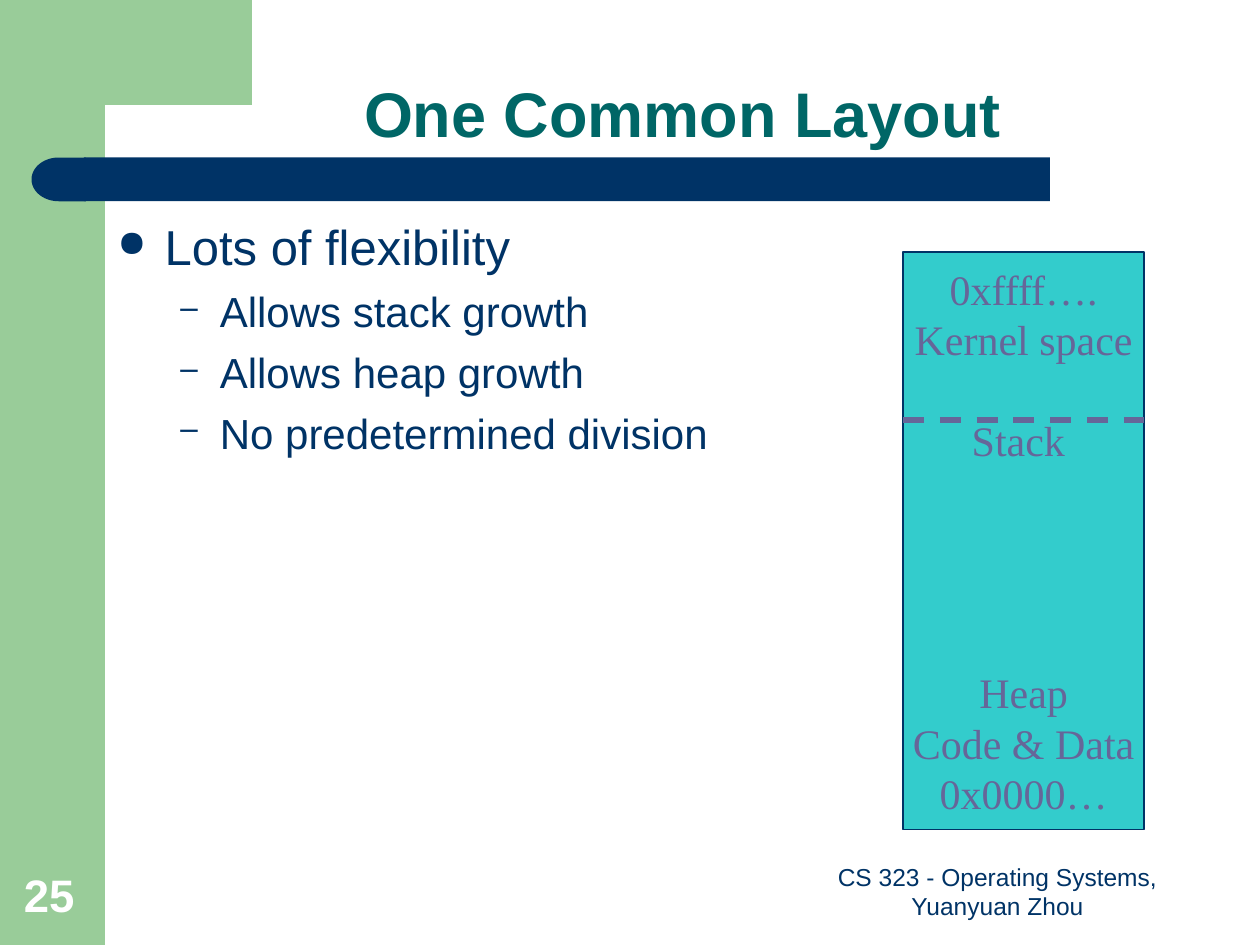
import pptx
import pptx.util
import pptx.dml.color
import pptx.enum.dml
import pptx.enum.shapes
import pptx.enum.text
import pptx.oxml.ns
from lxml import etree

Pt = pptx.util.Pt
RGB = pptx.dml.color.RGBColor
Shape = pptx.enum.shapes.MSO_SHAPE
Align = pptx.enum.text.PP_ALIGN
Anchor = pptx.enum.text.MSO_ANCHOR
qn = pptx.oxml.ns.qn

GREEN = RGB(0x99, 0xCC, 0x99)
NAVY = RGB(0x00, 0x33, 0x66)
TEAL = RGB(0x00, 0x66, 0x66)
AQUA = RGB(0x33, 0xCC, 0xCC)
VIOLET = RGB(0x66, 0x66, 0x99)
WHITE = RGB(0xFF, 0xFF, 0xFF)

LEADING = 1.2


def paint(shape, fill):
    shape.shadow.inherit = False
    shape.fill.solid()
    shape.fill.fore_color.rgb = fill
    shape.line.fill.background()


def add_block(slide, kind, x, y, w, h, fill):
    block = slide.shapes.add_shape(kind, Pt(x), Pt(y), Pt(w), Pt(h))
    paint(block, fill)
    return block


def add_corner(slide):
    pen = slide.shapes.build_freeform(Pt(36), Pt(0))
    points = [(144, 0), (144, 60), (60, 60), (51, 66), (48, 92), (36, 92)]
    pen.add_line_segments([(Pt(x), Pt(y)) for x, y in points])
    paint(pen.convert_to_shape(), GREEN)


def add_run(para, text, size, color, font="Arial", bold=False):
    run = para.add_run()
    run.text = text
    run.font.size = Pt(size)
    run.font.name = font
    run.font.bold = bold
    run.font.color.rgb = color


def next_para(frame, index):
    return frame.add_paragraph() if index else frame.paragraphs[0]


def add_text(slide, x, y, w, h, anchor):
    frame = slide.shapes.add_textbox(Pt(x), Pt(y), Pt(w), Pt(h)).text_frame
    frame.word_wrap = True
    frame.vertical_anchor = anchor
    return frame


def set_title(slide, text):
    title = slide.shapes.title
    title.left, title.top, title.width, title.height = Pt(78), Pt(0), Pt(624), Pt(90)
    frame = title.text_frame
    frame.auto_size = pptx.enum.text.MSO_AUTO_SIZE.NONE
    frame.vertical_anchor = Anchor.BOTTOM
    para = frame.paragraphs[0]
    para.alignment = Align.CENTER
    para.line_spacing = 0.9
    add_run(para, text, 36, TEAL, bold=True)


def set_bullet(para, mark, left, hang):
    props = para._p.get_or_add_pPr()
    props.set("marL", str(Pt(left)))
    props.set("indent", str(-Pt(hang)))
    color = etree.SubElement(props, qn("a:buClr"))
    etree.SubElement(color, qn("a:srgbClr"), val=str(NAVY))
    etree.SubElement(props, qn("a:buSzPct"), val="75000")
    etree.SubElement(props, qn("a:buChar"), char=mark)


def add_points(slide, head, items):
    frame = add_text(slide, 60, 120, 605.5, 372, Anchor.TOP)
    for index, text in enumerate([head] + items):
        para = next_para(frame, index)
        size = 24 if index else 28
        if index:
            set_bullet(para, "–", 58.5, 22.5)
            para.level = 1
            para.space_before = Pt(6)
        else:
            set_bullet(para, "●", 27, 27)
        para.line_spacing = Pt(LEADING * size)
        add_run(para, text, size, NAVY)


def add_memory(slide, rows):
    x, y, w, h = 516, 144, 138, 330
    size = 24
    box = add_block(slide, Shape.RECTANGLE, x, y, w, h, AQUA)
    box.line.color.rgb = NAVY
    box.line.width = Pt(1)
    frame = box.text_frame
    frame.word_wrap = False
    frame.vertical_anchor = Anchor.MIDDLE
    for index, (text, gap) in enumerate(rows):
        para = next_para(frame, index)
        para.alignment = Align.CENTER
        para.line_spacing = Pt(LEADING * size)
        para.space_before = Pt(gap * LEADING * size)
        add_run(para, text, size, VIOLET, "Times New Roman")
    add_dash(slide, x, 240, x + w)


def add_dash(slide, x, y, end):
    kind = pptx.enum.shapes.MSO_CONNECTOR.STRAIGHT
    dash = slide.shapes.add_connector(kind, Pt(x), Pt(y), Pt(end), Pt(y))
    dash.line.color.rgb = VIOLET
    dash.line.width = Pt(3)
    dash.line.dash_style = pptx.enum.dml.MSO_LINE.DASH
    etree.SubElement(dash._element.spPr, qn("a:effectLst"))


def main():
    deck = pptx.Presentation()
    deck.slide_width, deck.slide_height = Pt(720), Pt(540)
    slide = deck.slides.add_slide(deck.slide_layouts[5])

    add_block(slide, Shape.RECTANGLE, 0, 0, 60, 540, GREEN)
    add_corner(slide)
    add_block(slide, Shape.RECTANGLE, 48, 90, 552, 25, NAVY)
    cap = add_block(slide, Shape.FLOWCHART_DELAY, 18, 90, 31, 25, NAVY)
    cap.rotation = 180

    set_title(slide, "One Common Layout")
    add_points(slide, "Lots of flexibility", [
        "Allows stack growth",
        "Allows heap growth",
        "No predetermined division",
    ])
    add_memory(slide, [
        ("0xffff….", 0),
        ("Kernel space", 0),
        ("Stack ", 1),
        ("Heap", 4),
        ("Code & Data", 0),
        ("0x0000…", 0),
    ])

    foot = add_text(slide, 456, 492, 228, 37.5, Anchor.BOTTOM).paragraphs[0]
    foot.alignment = Align.CENTER
    add_run(foot, "CS 323 - Operating Systems, Yuanyuan Zhou", 14, NAVY)
    page = add_text(slide, 6.5, 492, 46, 38, Anchor.BOTTOM).paragraphs[0]
    add_run(page, "25", 26, WHITE, bold=True)

    deck.save("out.pptx")


if __name__ == "__main__":
    main()
